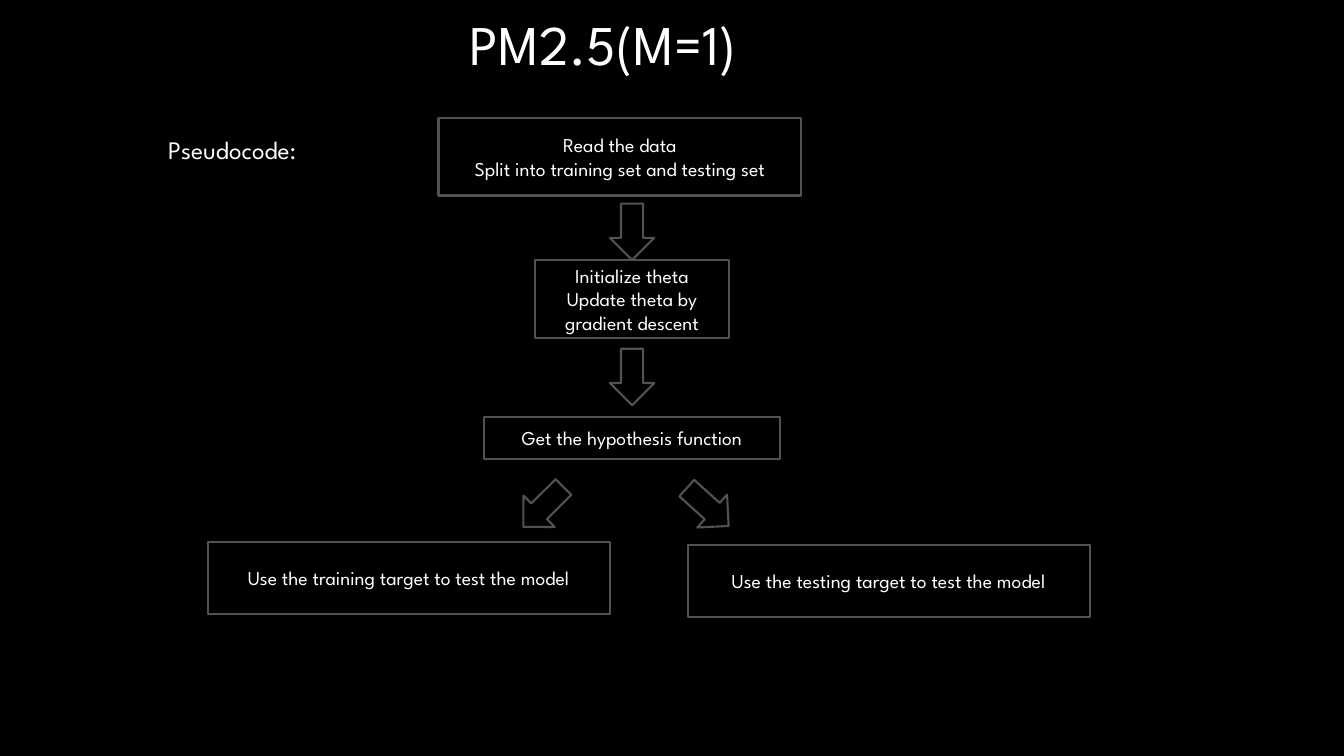
"""Build the PM2.5 pseudocode flowchart slide."""
from dataclasses import dataclass

from pptx import Presentation
from pptx.dml.color import RGBColor
from pptx.enum.shapes import MSO_SHAPE
from pptx.enum.text import MSO_ANCHOR, MSO_AUTO_SIZE, PP_ALIGN
from pptx.shapes.autoshape import Shape
from pptx.slide import Slide
from pptx.text.text import TextFrame
from pptx.util import Emu, Inches, Pt

COLORS = {"back": "000000", "line": "525252", "text": "FFFFFF"}
FONT = "League Spartan"
WIDTH, HEIGHT = Inches(13.33), Inches(7.5)
ARROW_W, ARROW_H = 3.3, 7.47


@dataclass(frozen=True)
class Area:
    """Position and size in percent of the slide."""
    x: float
    y: float
    w: float
    h: float

    def emu(self) -> tuple[Emu, Emu, Emu, Emu]:
        """Return left, top, width and height."""
        return (Emu(int(WIDTH * self.x / 100)), Emu(int(HEIGHT * self.y / 100)),
                Emu(int(WIDTH * self.w / 100)), Emu(int(HEIGHT * self.h / 100)))


@dataclass(frozen=True)
class Step:
    """A box of the flowchart."""
    area: Area
    lines: tuple[str, ...]


@dataclass(frozen=True)
class Arrow:
    """A down arrow, turned clockwise by an angle."""
    x: float
    y: float
    angle: float = 0


TITLE = Area(34.2, 0.53, 29.33, 10.27)
LABEL = Area(11.78, 17.07, 27.08, 5.33)
STEPS = (
    Step(Area(32.63, 15.6, 27, 10.27),
         ("Read the data", "Split into training set and testing set")),
    Step(Area(39.83, 34.4, 14.4, 10.27),
         ("Initialize theta", "Update theta by gradient descent")),
    Step(Area(36, 55.2, 22.05, 5.47), ("Get the hypothesis function",)),
    Step(Area(15.45, 71.73, 29.93, 9.47),
         ("Use the training target to test the model",)),
    Step(Area(51.16, 72.13, 29.93, 9.47),
         ("Use the testing target to test the model",)),
)
ARROWS = (
    Arrow(45.38, 26.93),
    Arrow(45.38, 46.13),
    Arrow(38.78, 63.33, 45.1),
    Arrow(51.01, 63.33, 312.2),
)


def color(name: str) -> RGBColor:
    """Look up a colour."""
    return RGBColor.from_string(COLORS[name])


def write(tf: TextFrame, lines: tuple[str, ...], size: int,
          align: PP_ALIGN = PP_ALIGN.LEFT,
          anchor: MSO_ANCHOR = MSO_ANCHOR.TOP) -> None:
    """Fill a text frame with one paragraph per line."""
    tf.word_wrap = True
    tf.auto_size = MSO_AUTO_SIZE.NONE
    tf.vertical_anchor = anchor
    tf.text = "\n".join(lines)
    for p in tf.paragraphs:
        p.alignment = align
        p.font.name = FONT
        p.font.size = Pt(size)
        p.font.color.rgb = color("text")


def add_outlined(s: Slide, kind: MSO_SHAPE, area: Area) -> Shape:
    """Add a black shape with a grey outline."""
    sp = s.shapes.add_shape(kind, *area.emu())
    sp.shadow.inherit = False
    sp.fill.solid()
    sp.fill.fore_color.rgb = color("back")
    sp.line.color.rgb = color("line")
    sp.line.width = Pt(1.5)
    return sp


def add_step(s: Slide, step: Step) -> None:
    """Add a flowchart box with centred text."""
    sp = add_outlined(s, MSO_SHAPE.RECTANGLE, step.area)
    write(sp.text_frame, step.lines, 14, PP_ALIGN.CENTER, MSO_ANCHOR.MIDDLE)


def add_arrow(s: Slide, arrow: Arrow) -> None:
    """Add a block arrow between boxes."""
    area = Area(arrow.x, arrow.y, ARROW_W, ARROW_H)
    sp = add_outlined(s, MSO_SHAPE.DOWN_ARROW, area)
    sp.rotation = arrow.angle


def main() -> None:
    """Build and save the slide."""
    prs = Presentation()
    prs.slide_width, prs.slide_height = WIDTH, HEIGHT
    s = prs.slides.add_slide(prs.slide_layouts.get_by_name("Title Only"))
    s.background.fill.solid()
    s.background.fill.fore_color.rgb = color("back")

    title = s.shapes.title
    title.left, title.top, title.width, title.height = TITLE.emu()
    write(title.text_frame, ("PM2.5(M=1)",), 40)
    label = s.shapes.add_textbox(*LABEL.emu())
    write(label.text_frame, ("Pseudocode:",), 18)

    for step in STEPS:
        add_step(s, step)
    for arrow in ARROWS:
        add_arrow(s, arrow)
    prs.save("out.pptx")


if __name__ == "__main__":
    main()
